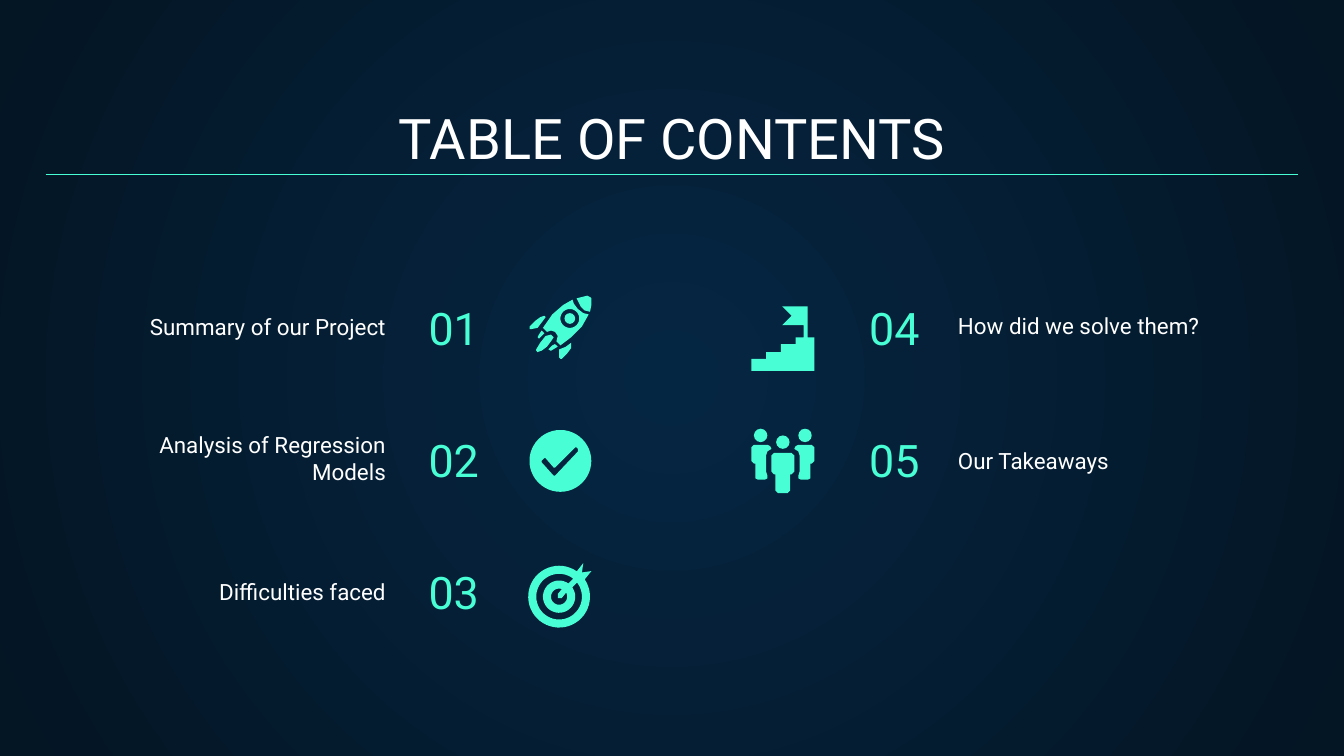
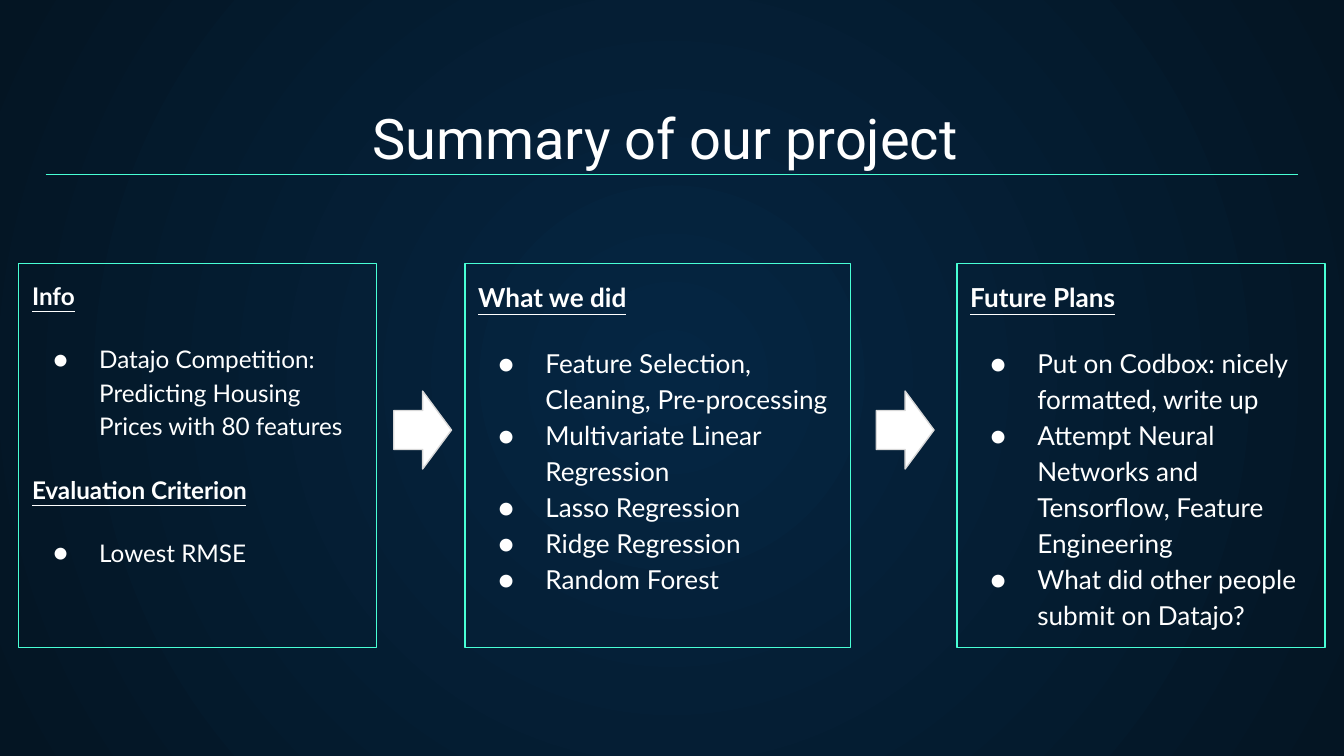
import math

import pptx
import pptx.dml.color
import pptx.enum.shapes
import pptx.enum.text
import pptx.oxml
import pptx.oxml.ns
import pptx.util

Inches = pptx.util.Inches
Pt = pptx.util.Pt
SHAPE = pptx.enum.shapes.MSO_SHAPE
ALIGN = pptx.enum.text.PP_ALIGN
ANCHOR = pptx.enum.text.MSO_ANCHOR

COLORS = {
    "bg_center": "052643",
    "bg_edge": "041523",
    "accent": "48FFD5",
    "text": "FFFFFF",
    "arrow_edge": "D9D9D9",
}
TITLE_FONT, BODY_FONT = "Roboto", "Lato"
MARGIN, SLIDE_W = 0.34, 10
SLIDE_H = SLIDE_W * 9 / 16
INSET = 0.1


def rgb(name):
    return pptx.dml.color.RGBColor.from_string(COLORS[name])


def style_shape(sp, fill=None, line=None):
    sp.shadow.inherit = False
    if fill:
        sp.fill.solid()
        sp.fill.fore_color.rgb = rgb(fill)
    else:
        sp.fill.background()
    if line:
        sp.line.color.rgb = rgb(line)
        sp.line.width = Pt(0.75)
    else:
        sp.line.fill.background()


def set_frame(tf, anchor):
    tf.word_wrap = True
    tf.vertical_anchor = anchor
    tf.margin_left = tf.margin_right = Inches(INSET)
    tf.margin_top = tf.margin_bottom = Inches(INSET)


def style_runs(p, size, font, color="text", strong=False):
    for r in p.runs:
        r.font.size = Pt(size)
        r.font.name = font
        r.font.color.rgb = rgb(color)
        r.font.bold = r.font.underline = strong


# Elements shared by the slides
def add_background(slide):
    slide.background.fill.solid()
    bg = slide.element.find(".//" + pptx.oxml.ns.qn("p:bgPr"))
    stops = "".join(
        f'<a:gs pos="{pos}"><a:srgbClr val="{COLORS[name]}"/></a:gs>'
        for pos, name in ((0, "bg_center"), (100000, "bg_edge")))
    bg.replace(bg[0], pptx.oxml.parse_xml(
        f'<a:gradFill {pptx.oxml.ns.nsdecls("a")} rotWithShape="1">'
        f'<a:gsLst>{stops}</a:gsLst><a:path path="circle">'
        '<a:fillToRect l="50000" t="50000" r="50000" b="50000"/>'
        '</a:path></a:gradFill>'))


def add_label(slide, text, box, size, align, color="text"):
    sp = slide.shapes.add_textbox(*map(Inches, box))
    set_frame(sp.text_frame, ANCHOR.BOTTOM)
    p = sp.text_frame.paragraphs[0]
    p.text = text
    p.alignment = align
    style_runs(p, size, TITLE_FONT, color)


def add_rule(slide, y):
    line = slide.shapes.add_connector(
        pptx.enum.shapes.MSO_CONNECTOR.STRAIGHT,
        Inches(MARGIN), Inches(y), Inches(SLIDE_W - MARGIN), Inches(y))
    line.line.color.rgb = rgb("accent")
    line.line.width = Pt(0.75)
    line._element.spPr.append(pptx.oxml.parse_xml(
        f'<a:effectLst {pptx.oxml.ns.nsdecls("a")}/>'))


def new_slide(prs, title):
    slide = prs.slides.add_slide(prs.slide_layouts[6])
    add_background(slide)
    add_label(slide, title, (MARGIN, 0.71, SLIDE_W - 2 * MARGIN, 0.66),
              30, ALIGN.CENTER)
    add_rule(slide, 1.3)
    return slide


# Icon helpers
def arc(cx, cy, radius, start=0, end=360, steps=48):
    angles = [math.radians(start + (end - start) * i / steps)
              for i in range(steps + 1)]
    return [(cx + radius * math.cos(a), cy + radius * math.sin(a))
            for a in angles]


def mirror(points, axis):
    return [(2 * axis - x, y) for x, y in points]


def add_outline(shapes, *contours):
    """Draw one filled outline; contours inside others become holes."""
    contours = [[(Inches(x), Inches(y)) for x, y in c] for c in contours]
    builder = shapes.build_freeform(*contours[0][0])
    for i, points in enumerate(contours):
        if i:
            builder.move_to(*points[0])
        builder.add_line_segments(points[1:], close=True)
    style_shape(builder.convert_to_shape(), "accent")


def add_disc(shapes, cx, cy, r):
    sp = shapes.add_shape(SHAPE.OVAL, Inches(cx - r), Inches(cy - r),
                          Inches(2 * r), Inches(2 * r))
    style_shape(sp, "accent")


# Icons
def add_rocket(slide):
    shapes = slide.shapes.add_group_shape().shapes
    flames = [
        [(4.03, 2.46), (4.01, 2.49), (4, 2.51), (4.01, 2.52), (4.05, 2.48)],
        [(4.13, 2.56), (4.11, 2.57), (4.08, 2.6), (4.1, 2.61), (4.15, 2.58)],
        [(4.1, 2.49), (4.06, 2.5), (4.02, 2.55), (3.99, 2.6), (3.99, 2.61),
         (4, 2.62), (4.03, 2.61), (4.07, 2.58), (4.1, 2.54), (4.12, 2.51)],
    ]
    fins = [
        [(4.05, 2.35), (4.02, 2.36), (3.98, 2.39), (3.94, 2.43),
         (3.94, 2.45), (3.95, 2.45), (4, 2.44), (4.06, 2.36)],
        [(4.25, 2.55), (4.21, 2.58), (4.16, 2.6), (4.16, 2.66),
         (4.17, 2.67), (4.18, 2.67), (4.22, 2.63), (4.25, 2.59)],
    ]
    nose = [(4.37, 2.2), (4.29, 2.22), (4.32, 2.28), (4.35, 2.31),
            (4.39, 2.32), (4.4, 2.27), (4.4, 2.22), (4.39, 2.21)]
    for part in (*flames, *fins, nose):
        add_outline(shapes, part)
    hull = [(4.26, 2.23), (4.19, 2.27), (4.11, 2.34), (4.04, 2.44),
            (4.07, 2.47), (4.1, 2.46), (4.13, 2.47), (4.15, 2.5),
            (4.14, 2.54), (4.17, 2.57), (4.25, 2.51), (4.33, 2.43),
            (4.38, 2.34), (4.34, 2.33), (4.3, 2.3), (4.27, 2.26)]
    window = (4.24, 2.37)
    add_outline(shapes, hull, arc(*window, 0.07))
    add_disc(shapes, *window, 0.04)


def add_check(slide):
    tick = [(4.28, 3.33), (4.29, 3.33), (4.3, 3.34), (4.3, 3.36),
            (4.13, 3.54), (4.12, 3.54), (4.03, 3.44), (4.03, 3.43),
            (4.05, 3.41), (4.06, 3.41), (4.12, 3.48), (4.13, 3.48)]
    add_outline(slide.shapes, arc(4.17, 3.43, 0.23), tick)


def add_target(slide):
    c = (4.16, 4.44)
    rim = arc(*c, 0.23, -55, -394) + [(4.4, 4.25), (4.33, 4.26), (4.34, 4.19)]
    gap = arc(*c, 0.17, -52, -398) + arc(*c, 0.12, -395, -55)
    bullseye = arc(*c, 0.06, -70, -390) + [
        (4.18, 4.45), (4.17, 4.45), (4.15, 4.45), (4.15, 4.42)]
    add_outline(slide.shapes, rim, gap, bullseye)


def add_stairs(slide):
    flag = [(6.01, 2.28), (5.82, 2.28), (5.89, 2.35), (5.82, 2.42),
            (5.98, 2.42), (5.98, 2.51)]
    steps = []
    for x, top, bottom in ((5.92, 2.51, 2.56), (5.81, 2.56, 2.62),
                           (5.7, 2.62, 2.67), (5.59, 2.67, 2.76)):
        steps += [(x, top), (x, bottom)]
    add_outline(slide.shapes, flag + steps + [(6.06, 2.76), (6.06, 2.51),
                                              (6.01, 2.51)])


def add_team(slide):
    shapes = slide.shapes.add_group_shape().shapes
    axis = 5.825
    side = [(5.61, 3.31), (5.71, 3.31), (5.73, 3.32), (5.74, 3.34),
            (5.71, 3.36), (5.7, 3.39), (5.7, 3.51), (5.71, 3.54),
            (5.71, 3.56), (5.69, 3.57), (5.64, 3.57), (5.62, 3.56),
            (5.62, 3.45), (5.61, 3.45), (5.59, 3.43), (5.59, 3.33)]
    half = [(5.76, 3.37), (5.74, 3.39), (5.74, 3.51), (5.76, 3.53),
            (5.77, 3.53), (5.77, 3.65), (5.79, 3.67)]
    for body in (side, mirror(side, axis), half + mirror(half, axis)[::-1]):
        add_outline(shapes, body)
    for cx, cy in ((5.66, 3.24), (5.99, 3.24), (axis, 3.29)):
        add_disc(shapes, cx, cy, 0.05)


# Panels
def add_bullet(p, indent):
    pPr = p._p.get_or_add_pPr()
    pPr.set("marL", str(Inches(0.5)))
    pPr.set("indent", str(-Inches(indent)))
    ns = pptx.oxml.ns.nsdecls("a")
    for xml in (
            f'<a:buClr {ns}><a:srgbClr val="{COLORS["text"]}"/></a:buClr>',
            f'<a:buFont {ns} typeface="{BODY_FONT}"/>',
            f'<a:buChar {ns} char="●"/>'):
        pPr.append(pptx.oxml.parse_xml(xml))


def add_panel(slide, left, width, size, indent, sections):
    sp = slide.shapes.add_shape(SHAPE.RECTANGLE, Inches(left), Inches(1.96),
                                Inches(width), Inches(2.86))
    style_shape(sp, line="accent")
    tf = sp.text_frame
    set_frame(tf, ANCHOR.TOP)
    p = tf.paragraphs[0]
    for s, (heading, items) in enumerate(sections):
        for i, text in enumerate((heading, *items)):
            if s or i:
                p = tf.add_paragraph()
            p.text = text
            p.alignment = ALIGN.LEFT
            p.line_spacing = 1.15
            # Headings and the first item below them stand apart
            p.space_before = Pt(16 if i == 1 or (s and i == 0) else 0)
            if i:
                add_bullet(p, indent)
            style_runs(p, size, BODY_FONT, strong=i == 0)


def add_arrow(slide, left):
    sp = slide.shapes.add_shape(SHAPE.RIGHT_ARROW, Inches(left), Inches(2.91),
                                Inches(0.43), Inches(0.58))
    style_shape(sp, "text", "arrow_edge")


# Slides
def contents_slide(prs):
    slide = new_slide(prs, "TABLE OF CONTENTS")
    columns = [
        (3.09, ALIGN.LEFT, 0.7, ALIGN.RIGHT,
         [("Summary of our Project", 2.42),
          ("Analysis of Regression Models", 3.5),
          ("Difficulties faced", 4.39)]),
        (5.65, ALIGN.RIGHT, 7.03, ALIGN.LEFT,
         [("How did we solve them?", 2.41), ("Our Takeaways", 3.42)]),
    ]
    number = 0
    for num_x, num_align, text_x, text_align, entries in columns:
        for row, (text, y) in enumerate(entries):
            number += 1
            add_label(slide, f"{number:02d}",
                      (num_x, 2.08 + 0.98 * row, 1.29, 0.66),
                      24, num_align, "accent")
            add_label(slide, text, (text_x, y, 2.27, 0.21), 12, text_align)
    for add_icon in (add_rocket, add_check, add_target, add_stairs, add_team):
        add_icon(slide)


def summary_slide(prs):
    slide = new_slide(prs, "Summary of our project ")
    add_panel(slide, 0.14, 2.66, 13, 0.34, [
        ("Info", ["Datajo Competition: Predicting Housing Prices "
                  "with 80 features"]),
        ("Evaluation Criterion", ["Lowest RMSE"])])
    add_panel(slide, 3.46, 2.87, 14, 0.35, [
        ("What we did", ["Feature Selection, Cleaning, Pre-processing",
                         "Multivariate Linear Regression",
                         "Lasso Regression", "Ridge Regression",
                         "Random Forest"])])
    add_panel(slide, 7.12, 2.74, 14, 0.35, [
        ("Future Plans", ["Put on Codbox: nicely formatted, write up",
                          "Attempt Neural Networks and Tensorflow, "
                          "Feature Engineering",
                          "What did other people submit on Datajo?"])])
    for left in (2.93, 6.52):
        add_arrow(slide, left)


def main():
    prs = pptx.Presentation()
    prs.slide_width, prs.slide_height = Inches(SLIDE_W), Inches(SLIDE_H)
    contents_slide(prs)
    summary_slide(prs)
    prs.save("out.pptx")


if __name__ == "__main__":
    main()
